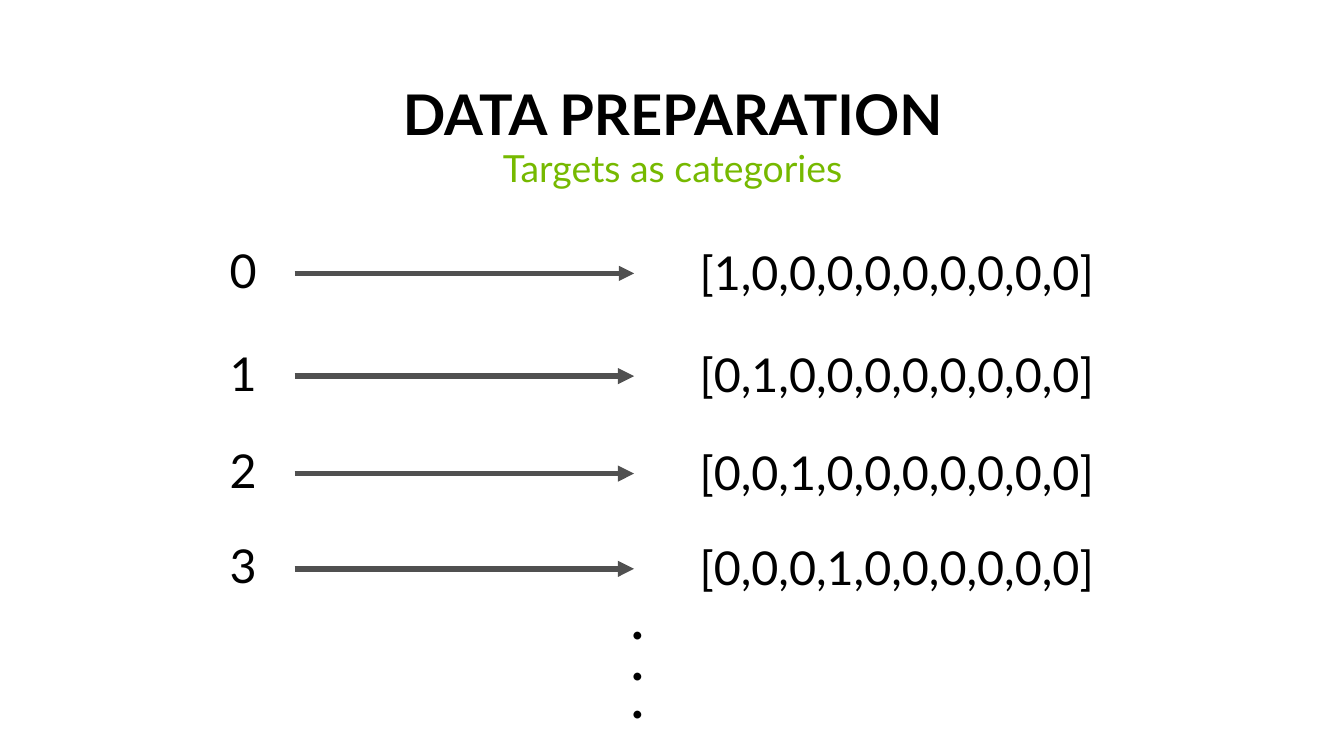
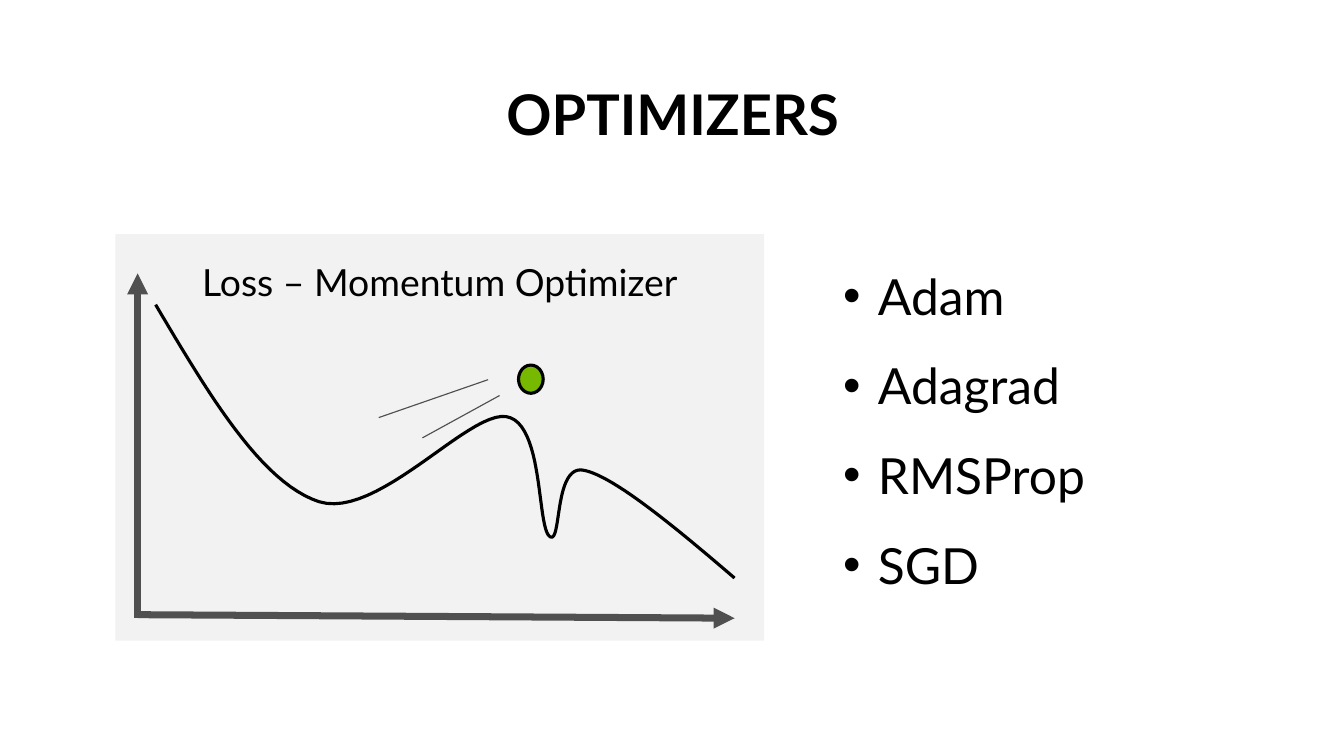
from lxml import etree
from pptx import Presentation
from pptx import util as u
from pptx.dml.color import RGBColor
from pptx.enum import shapes, text
from pptx.oxml import ns

# Shared style
FONT = "Lato"
BLACK = RGBColor(0x00, 0x00, 0x00)
GREEN = RGBColor(0x76, 0xB9, 0x00)
DARK_GREY = RGBColor(0x50, 0x50, 0x50)
PANEL_GREY = RGBColor(0xF2, 0xF2, 0xF2)
CENTER = text.PP_ALIGN.CENTER
MIDDLE = text.MSO_ANCHOR.MIDDLE

# Slide 1: centre line of each row and top of each dot, in cm
ROW_CENTERS = [6.2, 8.53, 10.74, 12.9]
DOT_TOPS = [12.95, 13.89, 14.76]
ROW_HEIGHT = 1.42
CLASS_COUNT = 10

# Slide 2: Bezier points of the loss curve, in cm; each segment
# starts at the end of the one before and adds three points
LOSS_CURVE = [
    (3.53, 6.91),
    (4.72, 8.92), (5.92, 10.95), (7.24, 11.38),
    (8.56, 11.79), (10.62, 9.32), (11.48, 9.45),
    (12.34, 9.58), (12.17, 11.96), (12.47, 12.17),
    (12.75, 12.37), (12.55, 10.49), (13.26, 10.67),
    (13.94, 10.82), (15.32, 11.96), (16.66, 13.11),
]
CURVE_STEPS = 24
OPTIMIZERS = ["Adam", "Adagrad", "RMSProp", "SGD"]


def add_child(parent, tag, **attributes):
    return etree.SubElement(parent, ns.qn(tag), attributes)


def format_paragraph(paragraph, size, color=BLACK, bold=False,
                     align=CENTER, spacing=0.9):
    paragraph.alignment = align
    paragraph.line_spacing = spacing
    for run in paragraph.runs:
        run.font.name = FONT
        run.font.size = u.Pt(size)
        run.font.bold = bold
        run.font.color.rgb = color


def add_text(slide, box, content, size, anchor=MIDDLE, **style):
    """Add a text box; box is left, top, width, height in cm."""
    shape = slide.shapes.add_textbox(*map(u.Cm, box))
    frame = shape.text_frame
    frame.word_wrap = True
    frame.vertical_anchor = anchor
    frame.text = content
    for paragraph in frame.paragraphs:
        format_paragraph(paragraph, size, **style)
    return shape


def add_title(slide, title):
    add_text(slide, (1.4, 1.83, 27.71, 1.65), title, 36,
             anchor=text.MSO_ANCHOR.BOTTOM, bold=True)


def add_line(slide, start, end, width, arrow=False):
    connector = slide.shapes.add_connector(
        shapes.MSO_CONNECTOR.STRAIGHT, *map(u.Cm, (*start, *end)))
    connector.line.color.rgb = DARK_GREY
    connector.line.width = u.Pt(width)
    if arrow:
        add_child(connector.line._get_or_add_ln(), "a:tailEnd", type="triangle")
    add_child(connector._element.spPr, "a:effectLst")


def add_filled_shape(slide, kind, box, fill):
    shape = slide.shapes.add_shape(kind, *map(u.Cm, box))
    shape.shadow.inherit = False
    shape.fill.solid()
    shape.fill.fore_color.rgb = fill
    shape.line.fill.background()
    return shape


def outline(shape, color, width):
    shape.line.color.rgb = color
    shape.line.width = u.Pt(width)


def bezier_point(points, t):
    weights = ((1 - t) ** 3, 3 * t * (1 - t) ** 2, 3 * t ** 2 * (1 - t), t ** 3)
    return tuple(u.Cm(sum(weight * point[axis]
                          for weight, point in zip(weights, points)))
                 for axis in (0, 1))


def add_curve(slide, points):
    vertices = [bezier_point(points[first:first + 4], step / CURVE_STEPS)
                for first in range(0, len(points) - 1, 3)
                for step in range(1, CURVE_STEPS + 1)]
    builder = slide.shapes.build_freeform(*map(u.Cm, points[0]))
    builder.add_line_segments(vertices, close=False)
    curve = builder.convert_to_shape()
    curve.shadow.inherit = False
    curve.fill.background()
    outline(curve, BLACK, 2)


def add_bullets(slide, box, items, size):
    shape = add_text(slide, box, "\n".join(items), size,
                     align=text.PP_ALIGN.LEFT, spacing=1.5)
    indent = u.Cm(0.79)
    for paragraph in shape.text_frame.paragraphs:
        properties = paragraph._p.get_or_add_pPr()
        properties.set("marL", str(indent))
        properties.set("indent", str(-indent))
        add_child(properties, "a:buFont", typeface="Arial")
        add_child(properties, "a:buChar", char="•")


def build_data_preparation(slide):
    add_title(slide, "DATA PREPARATION")
    add_text(slide, (1.4, 3.28, 27.71, 1.45), "Targets as categories", 24,
             anchor=text.MSO_ANCHOR.TOP, color=GREEN)

    # Each digit points to its one-hot vector
    for digit, center in enumerate(ROW_CENTERS):
        top = center - ROW_HEIGHT / 2
        vector = ",".join(str(int(place == digit)) for place in range(CLASS_COUNT))
        add_text(slide, (4.37, top, 2.29, ROW_HEIGHT), str(digit), 30)
        add_text(slide, (13.31, top + 0.04, 14.33, ROW_HEIGHT), f"[{vector}] ", 30)
        add_line(slide, (6.68, center), (14.38, center),
                 3.5 if digit else 3.25, arrow=True)

    # Continuation dots
    for top in DOT_TOPS:
        add_text(slide, (13.31, top, 2.29, 1.96), ".", 40, spacing=1.0)


def build_optimizers(slide):
    add_title(slide, "OPTIMIZERS")

    # Panel with its heading
    panel = add_filled_shape(slide, shapes.MSO_SHAPE.RECTANGLE,
                             (2.62, 5.31, 14.71, 9.22), PANEL_GREY)
    frame = panel.text_frame
    frame.vertical_anchor = text.MSO_ANCHOR.TOP
    frame.margin_top = u.Cm(0.56)
    frame.text = "Loss – Momentum Optimizer"
    format_paragraph(frame.paragraphs[0], 24, spacing=1.0)

    # Loss curve and axes
    add_curve(slide, LOSS_CURVE)
    add_line(slide, (3.12, 14.02), (3.12, 6.2), 4.5, arrow=True)
    add_line(slide, (3.12, 13.94), (16.66, 14.02), 4.5, arrow=True)

    # Ball with its motion lines
    ball = add_filled_shape(slide, shapes.MSO_SHAPE.OVAL,
                            (11.76, 8.28, 0.56, 0.64), GREEN)
    outline(ball, BLACK, 2)
    add_line(slide, (11.33, 8.97), (9.58, 9.93), 0.75)
    add_line(slide, (11.07, 8.61), (8.59, 9.47), 0.75)

    add_bullets(slide, (18.87, 5.31, 8.51, 8.2), OPTIMIZERS, 32)


def main():
    presentation = Presentation()
    presentation.slide_width = u.Cm(30.48)
    presentation.slide_height = u.Cm(30.48 * 9 / 16)
    blank = presentation.slide_layouts[6]
    for build in (build_data_preparation, build_optimizers):
        build(presentation.slides.add_slide(blank))
    presentation.save("out.pptx")


if __name__ == "__main__":
    main()
